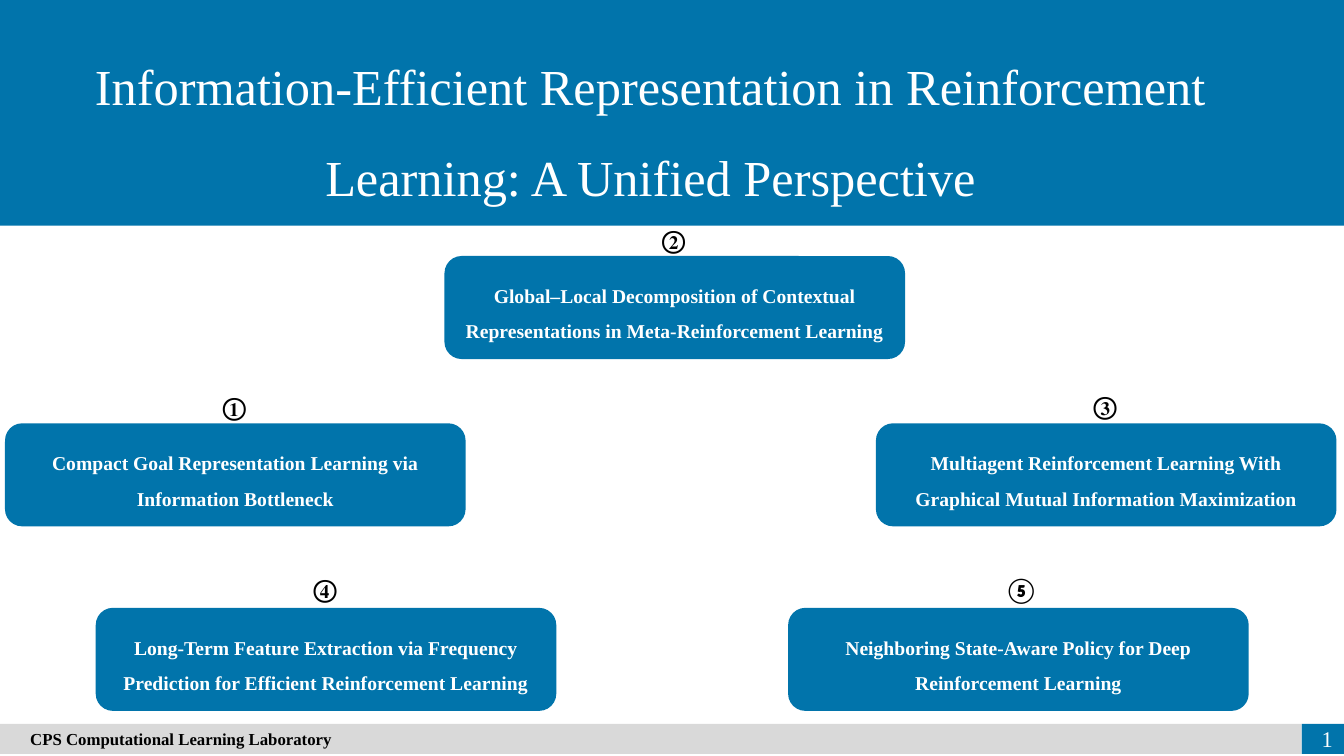
from pptx import Presentation
from pptx.dml.color import RGBColor
from pptx.enum import shapes, text
from pptx.util import Pt

BLUE, GRAY, WHITE, BLACK = "0174AB", "D9D9D9", "FFFFFF", "000000"
SERIF = "Times New Roman"
LEFT, CENTER, RIGHT = text.PP_ALIGN.LEFT, text.PP_ALIGN.CENTER, text.PP_ALIGN.RIGHT
TOP, MIDDLE = text.MSO_ANCHOR.TOP, text.MSO_ANCHOR.MIDDLE
RECT, ROUND = shapes.MSO_SHAPE.RECTANGLE, shapes.MSO_SHAPE.ROUNDED_RECTANGLE

TOPICS = [
    ("①", 3.6, 302.4, 151.9, 275.8, SERIF,
     ["Compact Goal Representation Learning via Information Bottleneck"]),
    ("②", 317.5, 182.9, 465.8, 157, SERIF,
     ["Global–Local Decomposition of Contextual",
      "Representations in Meta-Reinforcement Learning"]),
    ("③", 625.7, 302.4, 774, 275, SERIF,
     ["Multiagent Reinforcement Learning With",
      "Graphical Mutual Information Maximization"]),
    ("④", 68.4, 434.2, 216.7, 406.1, SERIF,
     ["Long-Term Feature Extraction via Frequency",
      "Prediction for Efficient Reinforcement Learning"]),
    ("⑤", 563, 434.2, 710.6, 406.8, "Calibri",
     ["Neighboring State-Aware Policy for Deep", "Reinforcement Learning"]),
]


def rgb(value):
    return RGBColor.from_string(value)


def write(sp, lines, size, color, bold=False, font=SERIF, align=LEFT,
          anchor=TOP, spacing=1, wrap=True):
    tf = sp.text_frame
    tf.text = "\n".join(lines)
    tf.word_wrap = wrap
    tf.vertical_anchor = anchor
    for p in tf.paragraphs:
        p.alignment = align
        p.line_spacing = spacing
        for r in p.runs:
            r.font.name = font
            r.font.size = Pt(size)
            r.font.bold = bold
            r.font.color.rgb = rgb(color)


def add_block(s, kind, x, y, w, h, color):
    sp = s.shapes.add_shape(kind, Pt(x), Pt(y), Pt(w), Pt(h))
    sp.shadow.inherit = False
    sp.fill.solid()
    sp.fill.fore_color.rgb = rgb(color)
    sp.line.fill.background()
    return sp


def add_label(s, x, y, w, h, label, size, color, **style):
    sp = s.shapes.add_textbox(Pt(x), Pt(y), Pt(w), Pt(h))
    write(sp, [label], size, color, **style)


def add_topic(s, number, x, y, number_x, number_y, number_font, lines):
    box = add_block(s, ROUND, x, y, 329, 73.6, BLUE)
    write(box, lines, 14, WHITE, bold=True, align=CENTER, anchor=MIDDLE, spacing=1.5)
    add_label(s, number_x, number_y, 32.6, 28.8, number, 18, BLACK,
              bold=True, font=number_font, wrap=False)


def add_footer(s):
    add_block(s, RECT, 929.7, 517, 30.3, 21.6, BLUE)
    bar = add_block(s, RECT, 0, 517, 929.7, 21.6, GRAY)
    write(bar, ["CPS Computational Learning Laboratory"], 12, BLACK,
          bold=True, anchor=MIDDLE)
    bar.text_frame.margin_left = Pt(21.6)
    add_label(s, 913.7, 513.4, 45.4, 28.8, "1", 16, WHITE, align=RIGHT, anchor=MIDDLE)


def main():
    prs = Presentation()
    prs.slide_width, prs.slide_height = Pt(960), Pt(540)
    s = prs.slides.add_slide(prs.slide_layouts[6])
    add_block(s, RECT, 0, 0, 964, 161.2, BLUE)
    add_label(s, 24.5, 14.4, 880.6, 130.3,
              "Information-Efficient Representation in Reinforcement "
              "Learning: A Unified Perspective",
              36, WHITE, align=CENTER, spacing=1.5)
    for topic in TOPICS:
        add_topic(s, *topic)
    add_footer(s)
    prs.save("out.pptx")


if __name__ == "__main__":
    main()
